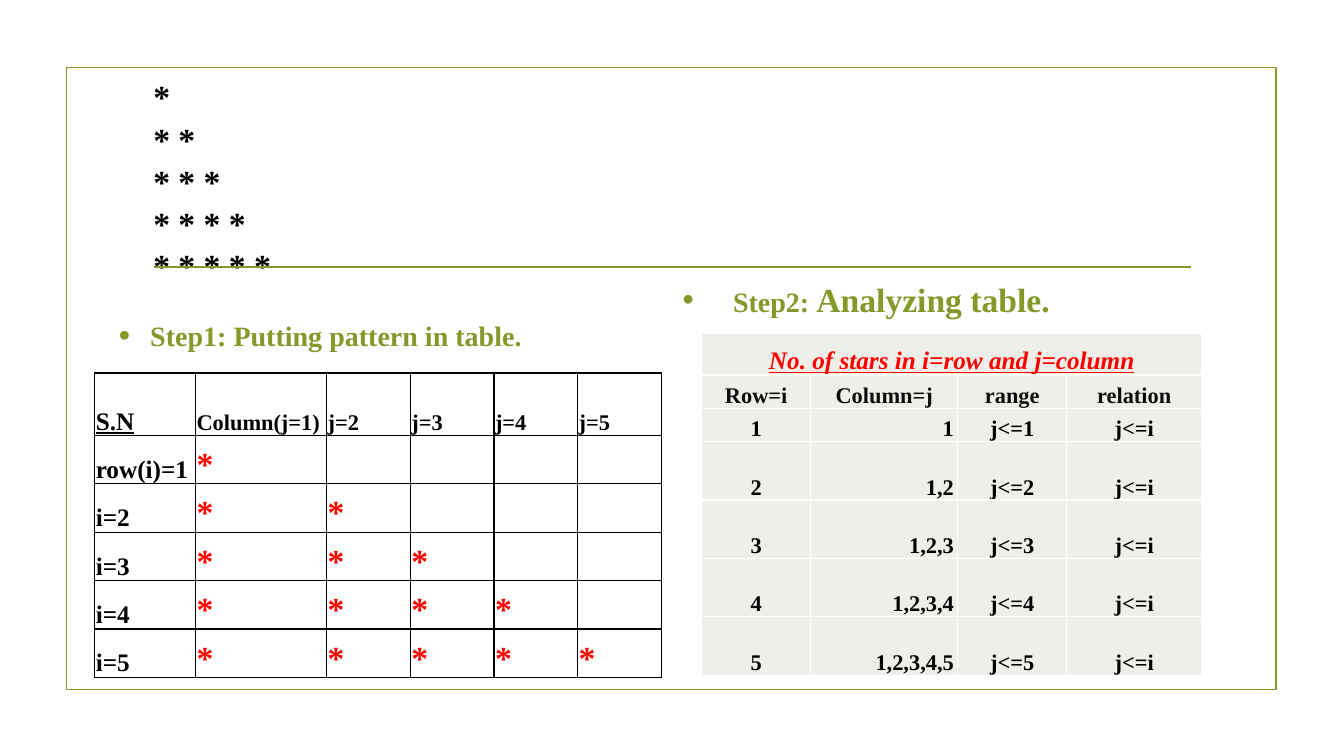
import pptx
import pptx.util
import pptx.dml.color
import pptx.enum.shapes
import pptx.enum.text
import pptx.oxml
import pptx.oxml.ns
import lxml.etree

Inches = pptx.util.Inches
Pt = pptx.util.Pt
RGBColor = pptx.dml.color.RGBColor
Align = pptx.enum.text.PP_ALIGN
Anchor = pptx.enum.text.MSO_ANCHOR

OLIVE = RGBColor(0x83, 0x99, 0x2A)
BLACK = RGBColor(0, 0, 0)
NEAR_BLACK = RGBColor(0x0D, 0x0D, 0x0D)
RED = RGBColor(0xFF, 0, 0)
WHITE = RGBColor(0xFF, 0xFF, 0xFF)
PALE_GREEN = RGBColor(0xED, 0xEF, 0xE8)
FONT = "Times New Roman"
NS = 'xmlns:a="http://schemas.openxmlformats.org/drawingml/2006/main"'


def style_runs(paragraph, size, color):
    for run in paragraph.runs:
        run.font.name = FONT
        run.font.size = Pt(size)
        run.font.bold = True
        run.font.color.rgb = color


def build_table(left, top, widths, heights, border, fill):
    frame = slide.shapes.add_table(
        len(heights), len(widths), Inches(left), Inches(top),
        Inches(sum(widths)), Inches(sum(heights)))
    table = frame.table
    for column, width in zip(table.columns, widths):
        column.width = Inches(width)
    for row, height in zip(table.rows, heights):
        row.height = Inches(height)
    for cell in table.iter_cells():
        cell.vertical_anchor = Anchor.BOTTOM
        cell.margin_left = cell.margin_right = cell.margin_top = Inches(0.01)
        cell.margin_bottom = 0
        if fill is None:
            cell.fill.background()
        else:
            cell.fill.solid()
            cell.fill.fore_color.rgb = fill
        properties = cell._tc.get_or_add_tcPr()
        for position, side in enumerate(("lnL", "lnR", "lnT", "lnB")):
            properties.insert(position, pptx.oxml.parse_xml(
                f'<a:{side} {NS} w="12700"><a:solidFill><a:srgbClr val="{border}"/>'
                f'</a:solidFill></a:{side}>'))
    return table


presentation = pptx.Presentation()
presentation.slide_width = Inches(13.33)
presentation.slide_height = Inches(7.5)
slide = presentation.slides.add_slide(presentation.slide_layouts[4])
placeholders = {p.placeholder_format.idx: p for p in slide.placeholders}
for unused in (2, 4):
    placeholders[unused].element.getparent().remove(placeholders[unused].element)

border_frame = slide.shapes.add_shape(
    pptx.enum.shapes.MSO_SHAPE.RECTANGLE,
    Inches(0.66), Inches(0.67), Inches(12), Inches(6.17))
border_frame.shadow.inherit = False
border_frame.fill.background()
border_frame.line.color.rgb = OLIVE
border_frame.line.width = Pt(1.25)

divider = slide.shapes.add_connector(
    pptx.enum.shapes.MSO_CONNECTOR.STRAIGHT,
    Inches(1.53), Inches(2.65), Inches(11.81), Inches(2.65))
divider.line.color.rgb = OLIVE
divider.line.width = Pt(1.25)
lxml.etree.SubElement(divider._element.spPr, pptx.oxml.ns.qn("a:effectLst"))

pattern = slide.shapes.title
pattern.left, pattern.top = Inches(1.42), Inches(1.07)
pattern.width, pattern.height = Inches(10.5), Inches(1.43)
pattern.text_frame.text = "\v".join(" ".join("*" * count) for count in range(1, 6))
pattern.text_frame.auto_size = pptx.enum.text.MSO_AUTO_SIZE.NONE
pattern.text_frame.vertical_anchor = Anchor.MIDDLE
pattern_lines = pattern.text_frame.paragraphs[0]
pattern_lines.alignment = Align.LEFT
pattern_lines.line_spacing = 1.05
style_runs(pattern_lines, 24, BLACK)

steps = [
    (1, 1.08, 2.91, 5.5, 0.31, ["Step1: Putting pattern in table."]),
    (3, 6.67, 2.59, 5.16, 0.5, ["Step2: ", "Analyzing table."]),
]
for idx, left, top, width, indent, parts in steps:
    step = placeholders[idx]
    step.left, step.top = Inches(left), Inches(top)
    step.width, step.height = Inches(width), Inches(0.63)
    step.text_frame.auto_size = pptx.enum.text.MSO_AUTO_SIZE.NONE
    step.text_frame.vertical_anchor = Anchor.BOTTOM
    heading = step.text_frame.paragraphs[0]
    for part in parts:
        heading.add_run().text = part
    style_runs(heading, 20, OLIVE)
    for larger in heading.runs[1:]:
        larger.font.size = Pt(24)
    heading.space_before = Pt(6.7)
    heading.space_after = Pt(6)
    bullet = heading._p.get_or_add_pPr()
    bullet.set("marL", str(Inches(indent)))
    bullet.set("indent", str(-Inches(indent)))
    for xml in (f'<a:buClr {NS}><a:srgbClr val="{OLIVE}"/></a:buClr>',
                f'<a:buSzPct {NS} val="115000"/>',
                f'<a:buFont {NS} typeface="Arial"/>',
                f'<a:buChar {NS} char="•"/>'):
        bullet.append(pptx.oxml.parse_xml(xml))

analysis = build_table(6.96, 3.31, [1.08, 1.46, 1.08, 1.34],
                       [0.41, 0.33, 0.33] + [0.58] * 4, WHITE, PALE_GREEN)
caption = analysis.cell(0, 0)
caption.merge(analysis.cell(0, 3))
caption.text_frame.text = "No. of stars in i=row and j=column"
caption_line = caption.text_frame.paragraphs[0]
caption_line.alignment = Align.CENTER
style_runs(caption_line, 18, RED)
caption_line.runs[0].font.italic = True
caption_line.runs[0].font.underline = True

analysis_rows = [["Row=i", "Column=j", "range", "relation"]]
for i in range(1, 6):
    columns = ",".join(str(j) for j in range(1, i + 1))
    analysis_rows.append([str(i), columns, f"j<={i}", "j<=i"])
for r, values in enumerate(analysis_rows):
    for c, value in enumerate(values):
        cell = analysis.cell(r + 1, c)
        cell.text_frame.text = value
        entry = cell.text_frame.paragraphs[0]
        entry.alignment = Align.CENTER
        style_runs(entry, 16, BLACK if r else NEAR_BLACK)
        if r and c == 1:
            entry.alignment = Align.RIGHT
            cell.margin_right = Inches(0.04)

stars = build_table(0.94, 3.7, [1, 1.3] + [0.83] * 4, [0.62] + [0.48] * 5, BLACK, None)
star_rows = [["S.N", "Column(j=1)"] + [f"j={j}" for j in range(2, 6)]]
for i in range(1, 6):
    star_rows.append(["row(i)=1" if i == 1 else f"i={i}"] + ["*"] * i)
for r, values in enumerate(star_rows):
    for c, value in enumerate(values):
        cell = stars.cell(r, c)
        cell.text_frame.text = value
        size = 18 if c == 0 else 24 if r else 16
        style_runs(cell.text_frame.paragraphs[0], size, RED if r and c else BLACK)
stars.cell(0, 0).text_frame.paragraphs[0].runs[0].font.underline = True

presentation.save("out.pptx")
